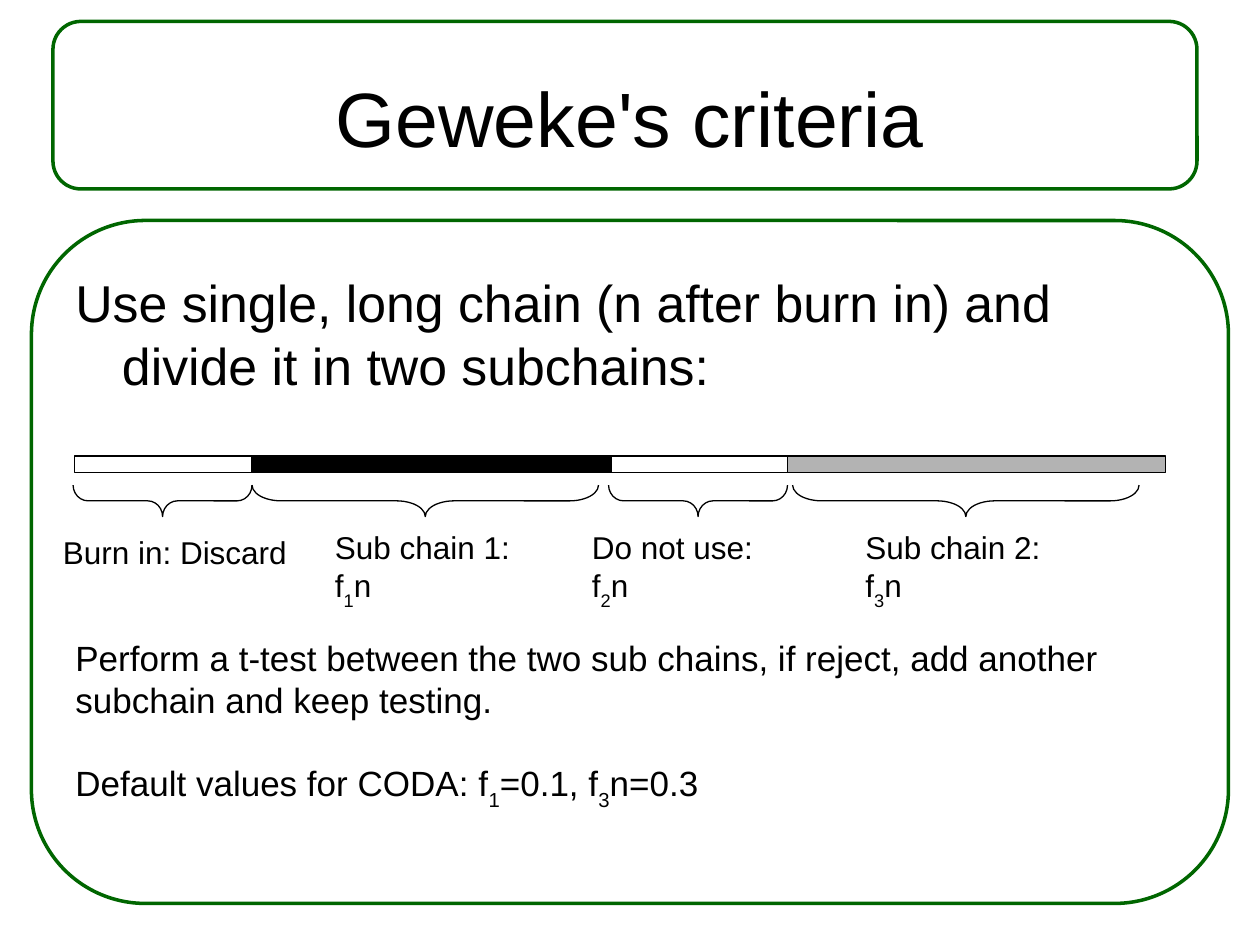
from pptx import Presentation
from pptx.dml.color import RGBColor
from pptx.enum.shapes import MSO_SHAPE
from pptx.enum.text import MSO_ANCHOR, PP_ALIGN
from pptx.util import Inches, Pt

HUES = {"ink": "000000", "paper": "FFFFFF", "frame": "006600", "gray": "B3B3B3"}

# Content: "_" puts the next character in subscript
TITLE = "Geweke's criteria"
LEAD = "Use single, long chain (n after burn in) and divide it in two subchains:"
NOTES = [
    ("Perform a t-test between the two sub chains, if reject, add another "
     "subchain and keep testing.", {"lead": 24}),
    ("Default values for CODA: f_1=0.1, f_3n=0.3", {"gap": 23.4}),
]
FRAMES = [(0.25, 1.75, 9.5, 5.42), (0.42, 0.17, 9.08, 1.33)]

# Bar ends, and for each part: fill, brace left and length, label and its place
ENDS = [0.59, 2, 4.85, 6.25, 9.25]
PARTS = [
    ("paper", 0.58, 1.42, "Burn in: Discard", (0.4, 4.18, 1.98, 0.4)),
    ("ink", 2, 2.75, "Sub chain 1: f_1n", (2.56, 4.14, 1.94, 0.48)),
    ("paper", 4.83, 1.42, "Do not use: f_2n", (4.6, 4.14, 1.83, 0.48)),
    ("gray", 6.29, 2.75, "Sub chain 2: f_3n", (6.77, 4.14, 1.94, 0.48)),
]
BAR_TOP, BAR_HIGH = 3.62, 0.13
BRACE_TOP, BRACE_HIGH = 3.85, 0.25


def hue(name):
    return RGBColor.from_string(HUES[name])


def write(para, text, size=18, lead=None, gap=0, align=PP_ALIGN.LEFT, hang=0):
    para.alignment = align
    para.space_before = Pt(gap)
    if lead:
        para.line_spacing = Pt(lead)
    if hang:
        props = para._p.get_or_add_pPr()
        props.set("marL", str(Inches(hang)))
        props.set("indent", str(-Inches(hang)))
    first, *rest = text.split("_")
    runs = [(first, False)]
    for bit in rest:
        runs += [(bit[0], True), (bit[1:], False)]
    for words, low in runs:
        run = para.add_run()
        run.text = words
        run.font.size = Pt(size)
        run.font.name = "Arial"
        run.font.color.rgb = hue("ink")
        if low:
            run._r.get_or_add_rPr().set("baseline", "-33000")


def add_box(slide, place, wrap=True):
    frame = slide.shapes.add_textbox(*map(Inches, place)).text_frame
    frame.word_wrap = wrap
    return frame


def draw(slide, kind, place, fill=None, line="ink", width=0.75):
    shape = slide.shapes.add_shape(kind, *map(Inches, place))
    shape.shadow.inherit = False
    if fill:
        shape.fill.solid()
        shape.fill.fore_color.rgb = hue(fill)
    else:
        shape.fill.background()
    shape.line.color.rgb = hue(line)
    shape.line.width = Pt(width)
    return shape


def main():
    deck = Presentation()
    deck.slide_width, deck.slide_height = Inches(10), Inches(7.5)
    slide = deck.slides.add_slide(deck.slide_layouts[5])

    # Green frames
    for place in FRAMES:
        draw(slide, MSO_SHAPE.ROUNDED_RECTANGLE, place, line="frame", width=2)

    # Title and lead text
    title = slide.shapes.title
    title.left, title.top, title.width, title.height = map(Inches, (0.5, 0.3, 9, 1.25))
    title.text_frame.vertical_anchor = MSO_ANCHOR.MIDDLE
    write(title.text_frame.paragraphs[0], TITLE, size=44, lead=53, align=PP_ALIGN.CENTER)
    box = add_box(slide, (0.5, 2.09, 9, 1.17))
    write(box.paragraphs[0], LEAD, size=29.6, lead=36, hang=0.37)

    # Chain bar with braces and labels
    for left, right, (fill, start, span, label, spot) in zip(ENDS, ENDS[1:], PARTS):
        draw(slide, MSO_SHAPE.RECTANGLE, (left, BAR_TOP, right - left, BAR_HIGH), fill)
        # A right brace turned to point down keeps its centre
        mid_x, mid_y = start + span / 2, BRACE_TOP + BRACE_HIGH / 2
        brace = draw(slide, MSO_SHAPE.RIGHT_BRACE,
                     (mid_x - BRACE_HIGH / 2, mid_y - span / 2, BRACE_HIGH, span))
        brace.rotation = 90
        brace.adjustments[0] = span / 12 / BRACE_HIGH
        write(add_box(slide, spot, wrap=False).paragraphs[0], label)

    # Closing notes
    box = add_box(slide, (0.5, 5, 9, 1.49))
    for i, (text, style) in enumerate(NOTES):
        para = box.add_paragraph() if i else box.paragraphs[0]
        write(para, text, size=20, **style)

    deck.save("out.pptx")


if __name__ == "__main__":
    main()
